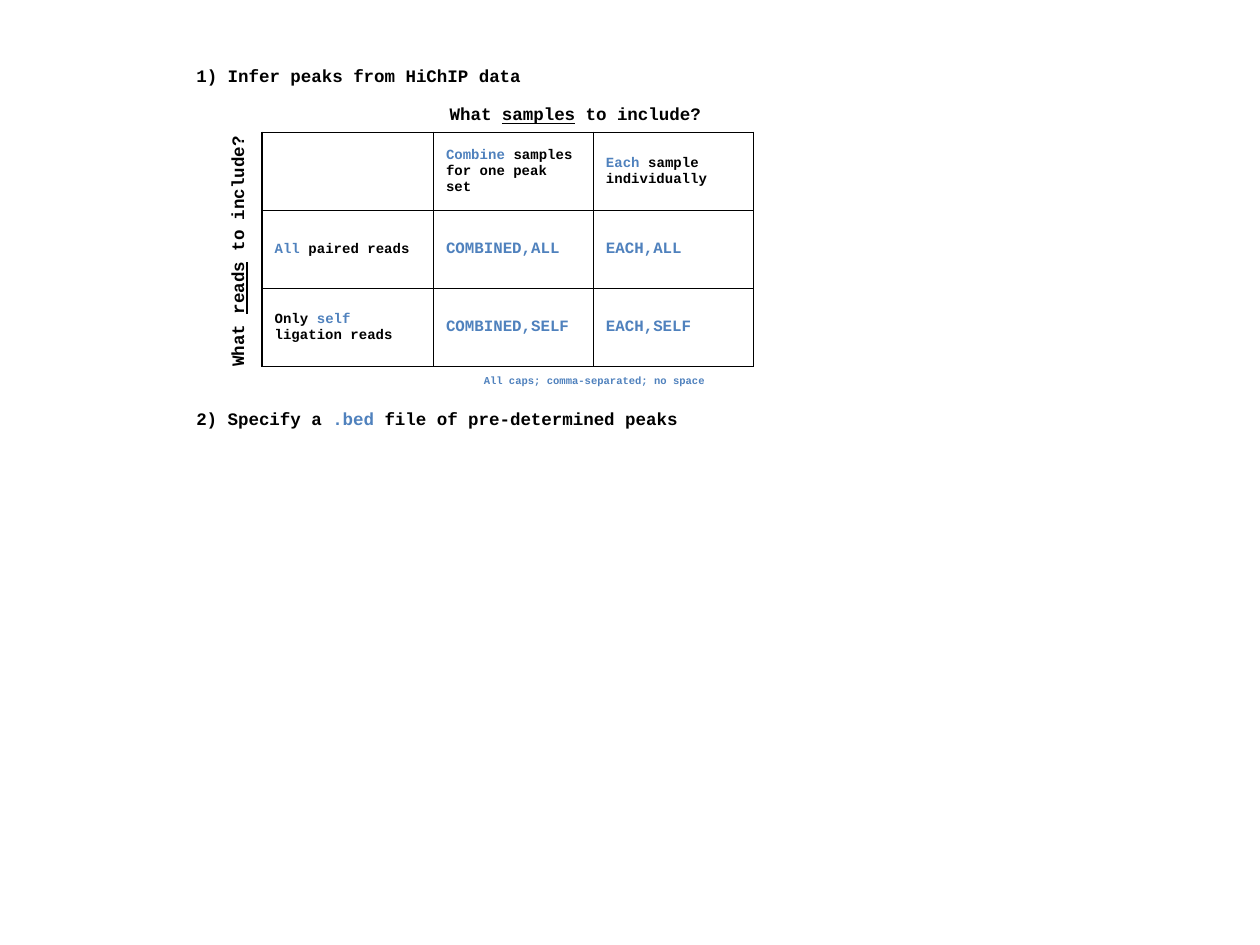
from dataclasses import dataclass
from lxml import etree
from pptx import Presentation
from pptx import util as u
from pptx.dml.color import RGBColor
from pptx.enum import text
from pptx.oxml import ns


@dataclass(frozen=True)
class Theme:
    font: str = "Courier New"
    ink: str = "000000"
    blue: str = "4F81BD"
    head: int = 10
    code: int = 9
    cell: int = 8
    note: int = 6
    rule: float = 1


class Sheet:
    def __init__(self, slide, theme):
        self.slide, self.theme = slide, theme

    def fill(self, para, runs, size):
        """Each run is (words, colour) or (words, colour, underlined)."""
        for words, color, *under in runs:
            run = para.add_run()
            run.text = words
            font = run.font
            font.name, font.size, font.bold = self.theme.font, u.Pt(size), True
            font.color.rgb = RGBColor.from_string(color)
            if under:
                font.underline = under[0]

    def label(self, box, runs, size, align=text.PP_ALIGN.LEFT, turn=0):
        shape = self.slide.shapes.add_textbox(*map(u.Inches, box))
        shape.rotation = turn
        frame = shape.text_frame
        frame.word_wrap = True
        frame.auto_size = text.MSO_AUTO_SIZE.SHAPE_TO_FIT_TEXT
        frame.paragraphs[0].alignment = align
        self.fill(frame.paragraphs[0], runs, size)

    def border(self, cell):
        props = cell._tc.get_or_add_tcPr()
        for i, side in enumerate(("lnL", "lnR", "lnT", "lnB")):
            line = etree.Element(ns.qn("a:" + side), w=str(u.Pt(self.theme.rule)))
            fill = etree.SubElement(line, ns.qn("a:solidFill"))
            etree.SubElement(fill, ns.qn("a:srgbClr"), val=self.theme.ink)
            props.insert(i, line)

    def table(self, left, top, widths, height, rows):
        frame = self.slide.shapes.add_table(
            len(rows), len(widths), u.Inches(left), u.Inches(top),
            u.Inches(sum(widths)), u.Inches(height * len(rows)))
        table = frame.table
        table.first_row = table.horz_banding = False
        for col, width in zip(table.columns, widths):
            col.width = u.Inches(width)
        for r, row in enumerate(rows):
            table.rows[r].height = u.Inches(height)
            for c, runs in enumerate(row):
                cell = table.cell(r, c)
                cell.fill.background()
                cell.vertical_anchor = text.MSO_ANCHOR.MIDDLE
                size = self.theme.code if r and c else self.theme.cell
                self.fill(cell.text_frame.paragraphs[0], runs, size)
                self.border(cell)


deck = Presentation()
deck.slide_width, deck.slide_height = u.Inches(10), u.Inches(7.5)
theme = Theme()
sheet = Sheet(deck.slides.add_slide(deck.slide_layouts[6]), theme)
ink, blue = theme.ink, theme.blue
center = text.PP_ALIGN.CENTER

# Axis questions, above and beside the table
for topic, left, top, turn in (("samples", 3.01, 0.77, 0), ("reads", 0.33, 1.86, 270)):
    runs = [("What ", ink), (topic, ink, True), (" to include?", ink)]
    sheet.label((left, top, 3.11, 0.27), runs, theme.head, center, turn)

# Options: reads down, samples across
samples = {
    "COMBINED": [("Combine ", blue), ("samples for one peak set", ink)],
    "EACH": [("Each ", blue), ("sample individually", ink)],
}
reads = {
    "ALL": [("All ", blue), ("paired reads", ink)],
    "SELF": [("Only ", ink), ("self ", blue), ("ligation reads", ink)],
}
rows = [[[], *samples.values()]]
for kind, runs in reads.items():
    rows.append([runs] + [[(f"{name},{kind}", blue)] for name in samples])
sheet.table(2.08, 1.05, (1.36, 1.27, 1.27), 0.62, rows)

# Numbered steps
sheet.label((1.46, 0.47, 3.11, 0.27),
            [("1) Infer peaks from HiChIP data", ink)], theme.head)
sheet.label((1.46, 3.19, 4.03, 0.27),
            [("2) Specify a ", ink), (".bed ", blue),
             ("file of pre-determined peaks", ink)], theme.head)

# Format note
sheet.label((3.45, 2.92, 2.53, 0.2),
            [("All caps; comma-separated; no space", blue)], theme.note, center)

deck.save("out.pptx")
